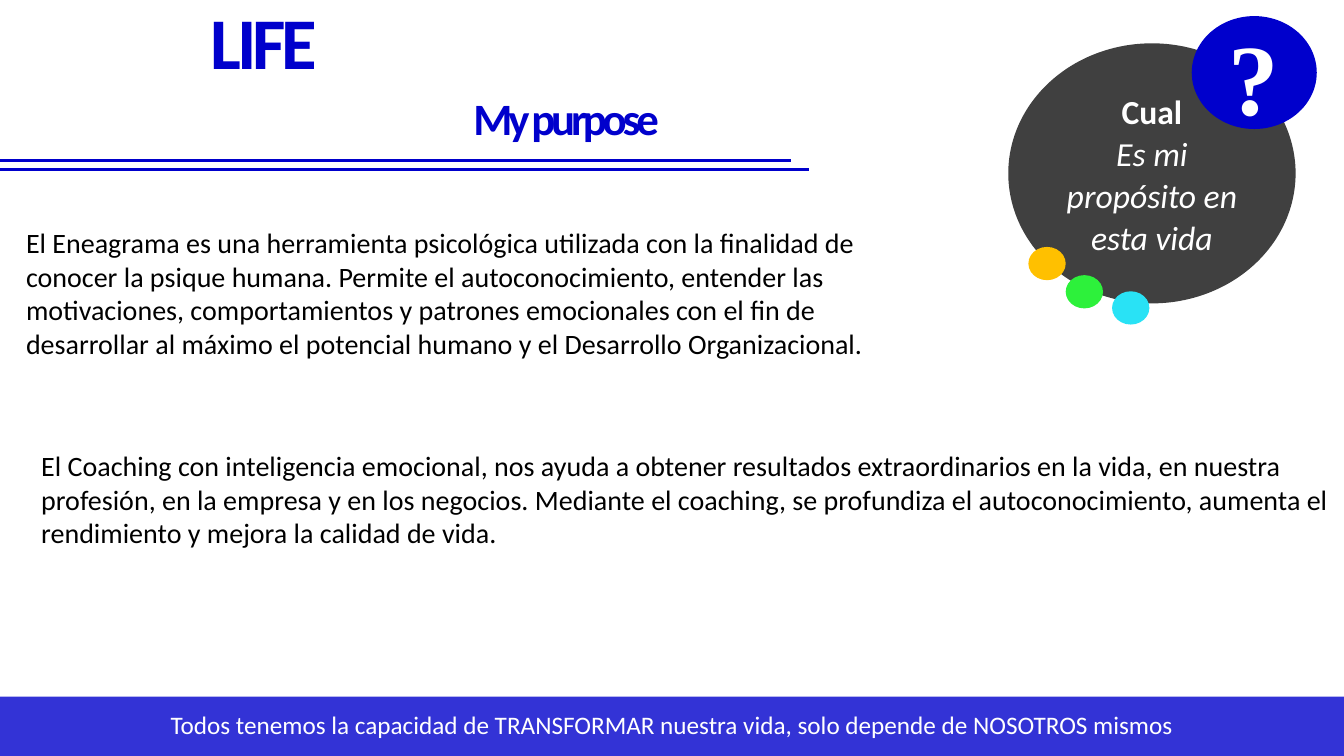
from lxml import etree
from pptx import Presentation
from pptx.dml.color import RGBColor
from pptx.enum.shapes import MSO_CONNECTOR, MSO_SHAPE
from pptx.enum.text import MSO_ANCHOR, MSO_AUTO_SIZE, PP_ALIGN
from pptx.oxml.ns import qn
from pptx.util import Inches, Pt

OVAL, RECT = MSO_SHAPE.OVAL, MSO_SHAPE.RECTANGLE
LINE = MSO_CONNECTOR.STRAIGHT
TOP, MIDDLE = MSO_ANCHOR.TOP, MSO_ANCHOR.MIDDLE
LEFT, CENTER = PP_ALIGN.LEFT, PP_ALIGN.CENTER
FIXED = MSO_AUTO_SIZE.NONE

WIDE, HIGH = 13.33, 7.5
BLUE, WHITE, BLACK, GRAY = "0000CC", "FFFFFF", "000000", "404040"

ABOUT = ("El Eneagrama es una herramienta psicológica utilizada con la finalidad de "
         "conocer la psique humana. Permite el autoconocimiento, entender las "
         "motivaciones, comportamientos y patrones emocionales con el fin de "
         "desarrollar al máximo el potencial humano y el Desarrollo Organizacional.")
COACH = ("El Coaching con inteligencia emocional, nos ayuda a obtener resultados "
         "extraordinarios en la vida, en nuestra profesión, en la empresa y en los "
         "negocios. Mediante el coaching, se profundiza el autoconocimiento, aumenta "
         "el rendimiento y mejora la calidad de vida.")
MOTTO = ("Todos tenemos la capacidad de TRANSFORMAR nuestra vida, "
         "solo depende de NOSOTROS mismos")


def color(code):
    return RGBColor.from_string(code)


def setup(frame, anchor=TOP, pad=(0.1, 0.05, 0.1, 0.05)):
    """Set wrapping, anchor and insets (left, top, right, bottom)."""
    frame.word_wrap = True
    frame.auto_size = FIXED
    frame.vertical_anchor = anchor
    frame.margin_left, frame.margin_top, frame.margin_right, frame.margin_bottom = map(Inches, pad)
    return frame


def write(frame, text, size=20, ink=BLACK, font="Calibri", bold=False, italic=False,
          align=LEFT, line=None, before=0, gap=None, indent=0):
    """Add one paragraph; the first call fills the empty one."""
    par = frame.add_paragraph() if frame.text else frame.paragraphs[0]
    if indent:
        par._p.get_or_add_pPr().set("marL", str(Inches(indent)))
    par.alignment, par.space_before = align, Pt(before)
    if line:
        par.line_spacing = line
    run = par.add_run()
    run.text = text
    run.font.name, run.font.size = font, Pt(size)
    run.font.bold, run.font.italic = bold, italic
    run.font.color.rgb = color(ink)
    if gap:
        run._r.get_or_add_rPr().set("spc", str(int(gap * 100)))


def shape(shapes, kind, box, fill, alpha=None):
    item = shapes.add_shape(kind, *map(Inches, box))
    item.shadow.inherit = False
    item.fill.solid()
    item.fill.fore_color.rgb = color(fill)
    item.line.fill.background()
    if alpha:
        tone = item._element.spPr.find(qn("a:solidFill"))[0]
        etree.SubElement(tone, qn("a:alpha")).set("val", str(alpha * 1000))
    return item


def note(shapes, box, **kind):
    return setup(shapes.add_textbox(*map(Inches, box)).text_frame, **kind)


def header(slide, left, top, width, height):
    # Title in two steps, the second one shifted right
    title = slide.shapes.title
    title.left, title.top, title.width, title.height = map(Inches, (left, top, width, height))
    title.fill.solid()
    title.fill.fore_color.rgb = color(WHITE)
    frame = setup(title.text_frame, pad=(0.2, 0.2, 0.28, 0.2))
    look = dict(ink=BLUE, bold=True, align=CENTER, line=0.7, gap=-3)
    write(frame, "LIFE", size=52, **look)
    write(frame, "My purpose", size=32, before=17, indent=6, **look)
    # Double rule below
    for drop, end in ((0.21, 7.85), (0.3, 8.02)):
        y = Inches(top + height + drop)
        rule = slide.shapes.add_connector(LINE, 0, y, Inches(end), y)
        rule.line.color.rgb = color(BLUE)
        rule.line.width = Pt(2.25)
        etree.SubElement(rule._element.spPr, qn("a:effectLst"))


def badge(slide, left, top, width, height):
    parts = slide.shapes.add_group_shape().shapes
    # Main disc
    disc = shape(parts, OVAL, (left, top, width, height), GRAY)
    frame = setup(disc.text_frame, anchor=MIDDLE)
    look = dict(size=24, ink=WHITE, align=CENTER, line=Pt(30))
    write(frame, "Cual", bold=True, **look)
    write(frame, "Es mi propósito en esta vida", italic=True, **look)
    # Question mark
    shape(parts, OVAL, (left + 1.82, top - 0.27, 1.24, 1.12), BLUE)
    mark = note(parts, (left + 1.83, top - 0.15, 1.21, 1.1), pad=(0, 0, 0, 0))
    write(mark, "?", size=72, ink=WHITE, font="Times New Roman", bold=True,
          align=CENTER, line=0.9, gap=-1.5)
    # Small dots along the rim
    for x, y, fill in ((0.2, 2.02, "FFC000"), (0.57, 2.3, "2DF13B"), (1.03, 2.46, "29E2F5")):
        shape(parts, OVAL, (left + x, top + y, 0.37, 0.33), fill)


def footer(slide, left, top, width, height):
    band = shape(slide.shapes, RECT, (left, top, width, height), BLUE, alpha=80)
    frame = setup(band.text_frame, anchor=MIDDLE, pad=(0.2, 0.2, 0.2, 0.2))
    write(frame, MOTTO, size=18, ink=WHITE, align=CENTER, line=0.9)


def main():
    deck = Presentation()
    deck.slide_width, deck.slide_height = Inches(WIDE), Inches(HIGH)
    slide = deck.slides.add_slide(deck.slide_layouts[5])
    header(slide, -2.26, 0, 9.83, 1.38)
    write(note(slide.shapes, (0.16, 2.19, 9.1, 1.45)), ABOUT)
    write(note(slide.shapes, (0.31, 4.4, 13.02, 1.11)), COACH)
    badge(slide, 10, 0.43, 2.85, 2.58)
    footer(slide, 0, 6.91, WIDE, HIGH - 6.91)
    deck.save("out.pptx")


if __name__ == "__main__":
    main()
